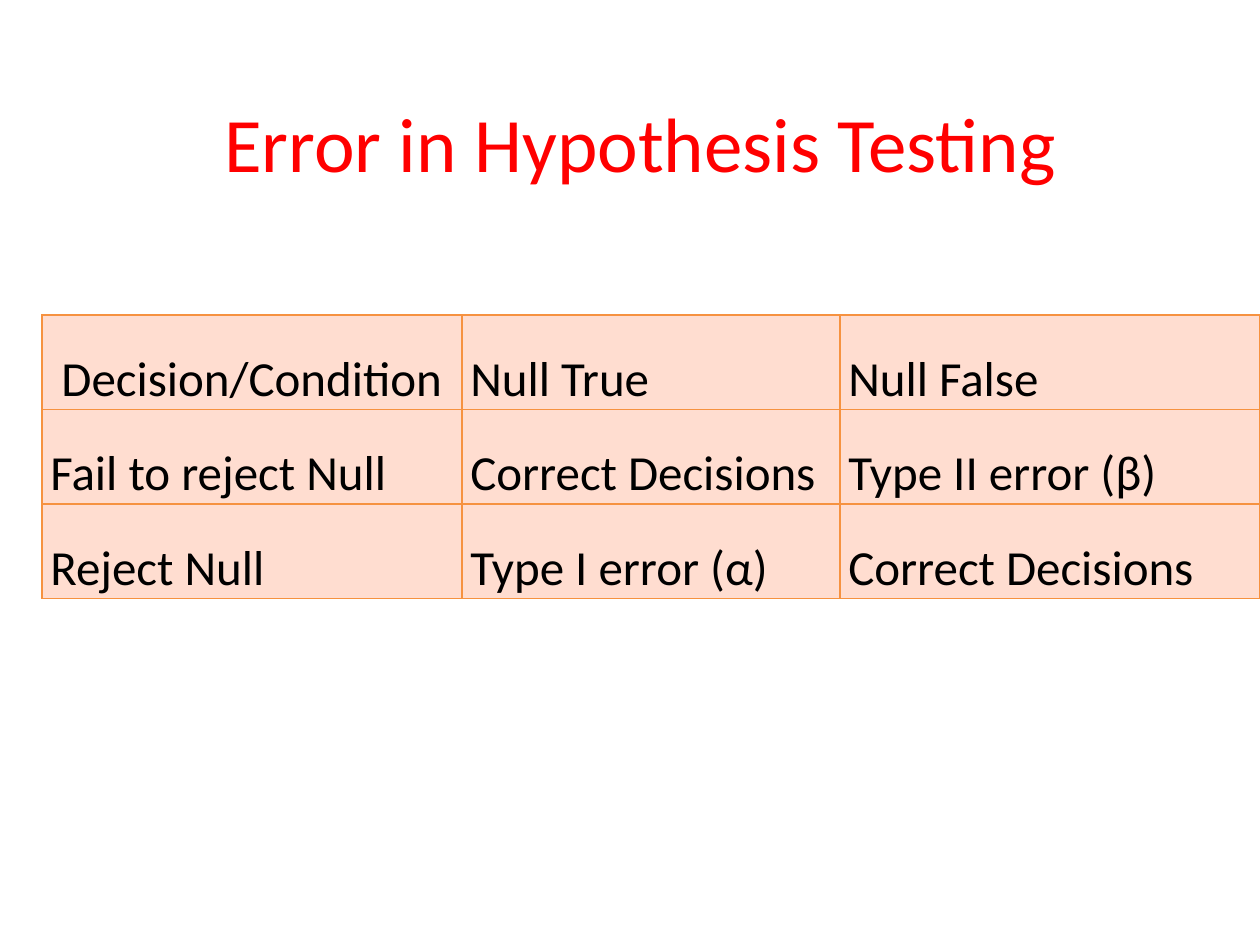
from dataclasses import dataclass

from lxml.etree import SubElement
from pptx import Presentation
from pptx.dml.color import RGBColor
from pptx.enum.text import MSO_ANCHOR as Anchor, PP_ALIGN as Align
from pptx.oxml.ns import qn
from pptx.util import Pt

EMU_PER_PX = 7620


@dataclass(frozen=True)
class Theme:
    font: str = "Calibri"
    title_size: int = 44
    cell_size: int = 28
    title_color: str = "FF0000"
    text_color: str = "000000"
    cell_fill: str = "FFDDD0"
    border_color: str = "F69240"
    border_width: float = 0.75


THEME = Theme()
COLUMN_WIDTHS = [400, 360, 400]
ROW_HEIGHT = 90
DECISIONS = [
    [" Decision/Condition", "Null True", "Null False"],
    ["Fail to reject Null", "Correct Decisions", "Type II error (β)"],
    ["Reject Null", "Type I error (α)", "Correct Decisions"],
]


def px(length):
    return length * EMU_PER_PX


def add_run(paragraph, text, size, color):
    run = paragraph.add_run()
    run.text = text
    run.font.name = THEME.font
    run.font.size = Pt(size)
    run.font.bold = False
    run.font.color.rgb = RGBColor.from_string(color)


def add_title(slide, text, left, top, width, height):
    box = slide.shapes.add_textbox(px(left), px(top), px(width), px(height))
    frame = box.text_frame
    frame.word_wrap = True
    frame.vertical_anchor = Anchor.MIDDLE
    paragraph = frame.paragraphs[0]
    paragraph.alignment = Align.CENTER
    add_run(paragraph, text, THEME.title_size, THEME.title_color)


def set_borders(cell):
    properties = cell._tc.get_or_add_tcPr()
    for position, side in enumerate(("lnL", "lnR", "lnT", "lnB")):
        line = SubElement(properties, qn(f"a:{side}"), w=str(Pt(THEME.border_width)))
        fill = SubElement(line, qn("a:solidFill"))
        SubElement(fill, qn("a:srgbClr"), val=THEME.border_color)
        properties.insert(position, line)


def fill_cell(cell, text):
    cell.margin_left = cell.margin_right = px(8)
    cell.margin_top = cell.margin_bottom = 0
    cell.vertical_anchor = Anchor.BOTTOM
    cell.fill.solid()
    cell.fill.fore_color.rgb = RGBColor.from_string(THEME.cell_fill)
    set_borders(cell)
    paragraph = cell.text_frame.paragraphs[0]
    paragraph.line_spacing = 1.15
    add_run(paragraph, text, THEME.cell_size, THEME.text_color)


def add_decision_table(slide, rows, left, top):
    width, height = sum(COLUMN_WIDTHS), ROW_HEIGHT * len(rows)
    table = slide.shapes.add_table(
        len(rows), len(COLUMN_WIDTHS), px(left), px(top), px(width), px(height)
    ).table
    table.first_row = table.horz_banding = False
    for column, column_width in zip(table.columns, COLUMN_WIDTHS):
        column.width = px(column_width)
    for row, texts in zip(table.rows, rows):
        row.height = px(ROW_HEIGHT)
        for cell, text in zip(row.cells, texts):
            fill_cell(cell, text)


def main():
    presentation = Presentation()
    presentation.slide_width, presentation.slide_height = px(1200), px(900)
    slide = presentation.slides.add_slide(presentation.slide_layouts[6])
    add_title(slide, "Error in Hypothesis Testing", 60, 60, 1100, 150)
    add_decision_table(slide, DECISIONS, 40, 300)
    presentation.save("out.pptx")


if __name__ == "__main__":
    main()
